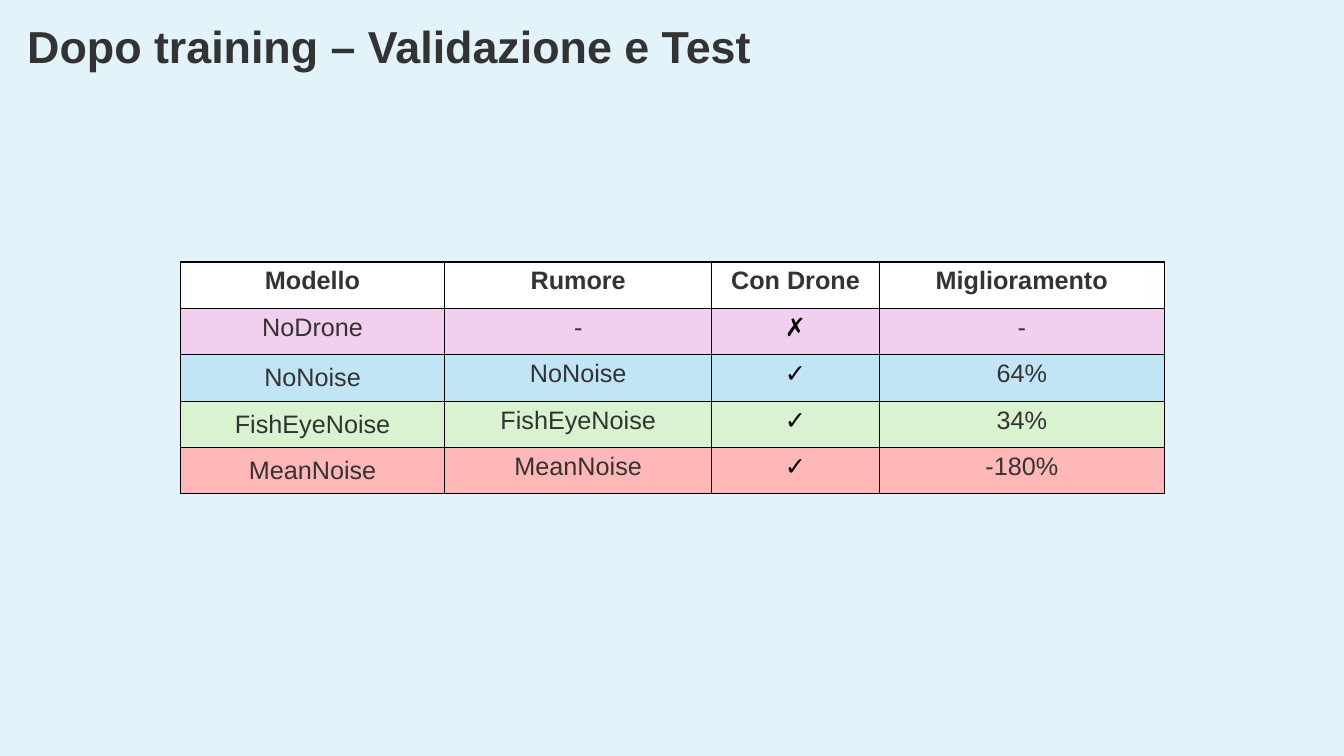
"""Build the slide that compares model improvements after training."""
from dataclasses import dataclass
from typing import Any

from lxml import etree
from pptx import Presentation
from pptx import util as u
from pptx.dml import color
from pptx.enum import text
from pptx.oxml import ns


@dataclass(frozen=True)
class Theme:
    font: str = "Arial"
    background: str = "E2F3FA"
    ink: str = "333333"
    symbol: str = "000000"
    border: str = "000000"
    title_size: float = 32
    table_size: float = 18
    border_width: float = 1


@dataclass(frozen=True)
class ModelRow:
    values: tuple[str, str, str, str]
    fill: str
    bold: bool = False
    name_anchor: Any = text.MSO_ANCHOR.TOP


THEME = Theme()
MIDDLE = text.MSO_ANCHOR.MIDDLE
SYMBOLS = ("✗", "✓")
COLUMN_WIDTHS = (2.62, 2.65, 1.66, 2.83)
ROW_HEIGHT = 0.46
ROWS = (
    ModelRow(("Modello", "Rumore", "Con Drone", "Miglioramento"), "FFFFFF", bold=True),
    ModelRow(("NoDrone", "-", "✗", "-"), "F2CFEE"),
    ModelRow(("NoNoise", "NoNoise", "✓", "64%"), "C1E5F5", name_anchor=MIDDLE),
    ModelRow(("FishEyeNoise", "FishEyeNoise", "✓", "34%"), "D9F2D0", name_anchor=MIDDLE),
    ModelRow(("MeanNoise", "MeanNoise", "✓", "-180%"), "FFB7B7", name_anchor=MIDDLE),
)


def apply_format(target: Any, values: dict[str, Any]) -> None:
    for name, value in values.items():
        setattr(target, name, value)


def paint(fill: Any, rgb: str) -> None:
    fill.solid()
    fill.fore_color.rgb = color.RGBColor.from_string(rgb)


def write(frame: Any, words: str, size: float, rgb: str, bold: bool, paragraph: dict[str, Any]) -> None:
    para = frame.paragraphs[0]
    apply_format(para, paragraph)
    span = para.add_run()
    span.text = words
    apply_format(span.font, {"name": THEME.font, "size": u.Pt(size), "bold": bold})
    span.font.color.rgb = color.RGBColor.from_string(rgb)


def add_borders(cell: Any) -> None:
    properties = cell._tc.get_or_add_tcPr()
    for side in ("a:lnL", "a:lnR", "a:lnT", "a:lnB"):
        line = etree.SubElement(properties, ns.qn(side), w=str(u.Pt(THEME.border_width)))
        fill = etree.SubElement(line, ns.qn("a:solidFill"))
        etree.SubElement(fill, ns.qn("a:srgbClr"), val=THEME.border)


def add_title(page: Any, words: str) -> None:
    box = page.shapes.title
    apply_format(box, {"left": u.Inches(0.17), "top": u.Inches(0.12),
                       "width": u.Inches(10.76), "height": u.Inches(0.74)})
    apply_format(box.text_frame, {"word_wrap": True, "vertical_anchor": MIDDLE,
                                  "auto_size": text.MSO_AUTO_SIZE.NONE})
    write(box.text_frame, words, THEME.title_size, THEME.ink, True,
          {"alignment": text.PP_ALIGN.LEFT, "line_spacing": 0.9})


def add_model_table(page: Any, rows: tuple[ModelRow, ...]) -> None:
    table = page.shapes.add_table(
        len(rows), len(COLUMN_WIDTHS), u.Inches(1.79), u.Inches(2.6),
        u.Inches(sum(COLUMN_WIDTHS)), u.Inches(ROW_HEIGHT * len(rows))).table
    apply_format(table, {"first_row": False, "horz_banding": False})
    for column, width in zip(table.columns, COLUMN_WIDTHS):
        column.width = u.Inches(width)
    for table_row, model in zip(table.rows, rows):
        table_row.height = u.Inches(ROW_HEIGHT)
        for index, (cell, words) in enumerate(zip(table_row.cells, model.values)):
            add_borders(cell)
            paint(cell.fill, model.fill)
            cell.vertical_anchor = model.name_anchor if index == 0 else text.MSO_ANCHOR.TOP
            ink = THEME.symbol if words in SYMBOLS else THEME.ink
            write(cell.text_frame, words, THEME.table_size, ink, model.bold,
                  {"alignment": text.PP_ALIGN.CENTER})


def main() -> None:
    deck = Presentation()
    apply_format(deck, {"slide_width": u.Inches(13.33), "slide_height": u.Inches(7.5)})
    page = deck.slides.add_slide(deck.slide_layouts.get_by_name("Title Only"))
    paint(page.background.fill, THEME.background)
    add_title(page, "Dopo training – Validazione e Test")
    add_model_table(page, ROWS)
    deck.save("out.pptx")


if __name__ == "__main__":
    main()
